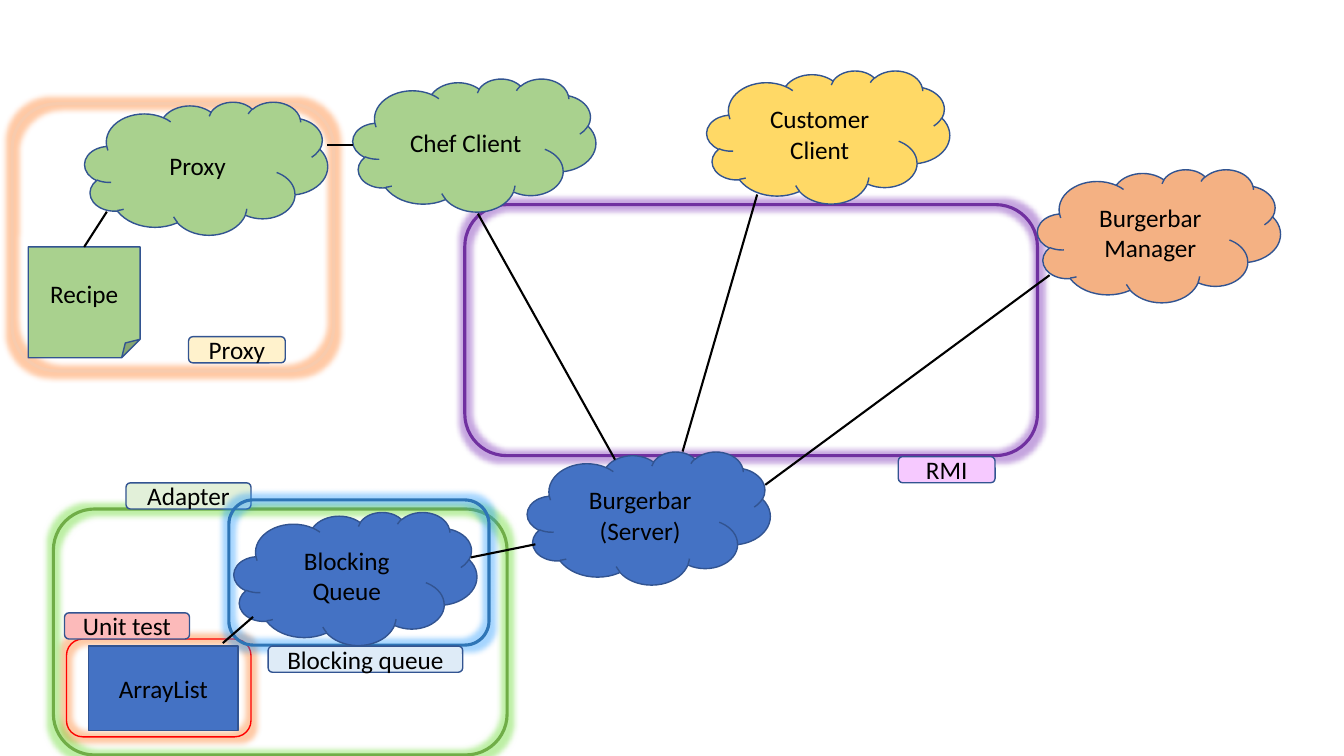
from lxml import etree
from pptx import Presentation
from pptx.dml.color import RGBColor
from pptx.enum.shapes import MSO_CONNECTOR, MSO_SHAPE as SHAPE
from pptx.enum.text import MSO_ANCHOR, PP_ALIGN
from pptx.oxml.ns import qn
from pptx.util import Inches, Pt

BLACK = RGBColor(0x00, 0x00, 0x00)
OUTLINE = RGBColor(0x32, 0x54, 0x91)
RED = RGBColor(0xFF, 0x00, 0x00)
PINK = RGBColor(0xFC, 0xBA, 0xBA)
GREEN = RGBColor(0x70, 0xAD, 0x47)
PALE_GREEN = RGBColor(0xE2, 0xF0, 0xD9)
LEAF = RGBColor(0xA9, 0xD1, 0x8E)
BLUE = RGBColor(0x44, 0x72, 0xC4)
DARK_BLUE = RGBColor(0x2E, 0x75, 0xB6)
PALE_BLUE = RGBColor(0xDE, 0xEB, 0xF7)
PURPLE = RGBColor(0x70, 0x30, 0xA0)
LILAC = RGBColor(0xF6, 0xC9, 0xFF)
PEACH = RGBColor(0xF8, 0xCB, 0xAD)
CREAM = RGBColor(0xFF, 0xF2, 0xCC)
YELLOW = RGBColor(0xFF, 0xD9, 0x66)
ORANGE = RGBColor(0xF4, 0xB1, 0x83)
GLOW_ORANGE = RGBColor(0xFF, 0x7A, 0x20)
GLOW_GREEN = RGBColor(0x5C, 0xD8, 0x20)
GLOW_BLUE = RGBColor(0x20, 0x98, 0xFF)
GLOW_PURPLE = RGBColor(0x70, 0x20, 0xB0)

CLOUD_W, CLOUD_H = 2.41, 1.32
LABEL_H = 0.26


class Diagram:
    """Holds the text style and the slide being drawn."""

    def __init__(self, slide, font="Calibri", size=18):
        self.s, self.font, self.size = slide, font, size

    def add_text(self, sp, text, color=BLACK, align=PP_ALIGN.CENTER):
        tf = sp.text_frame
        tf.word_wrap = True
        tf.vertical_anchor = MSO_ANCHOR.MIDDLE
        p = tf.paragraphs[0]
        p.alignment = align
        r = p.add_run()
        r.text = text
        r.font.name, r.font.size = self.font, Pt(self.size)
        r.font.color.rgb = color

    def shape(self, kind, x, y, w, h, line=OUTLINE, width=1):
        sp = self.s.shapes.add_shape(kind, Inches(x), Inches(y), Inches(w), Inches(h))
        sp.shadow.inherit = False
        sp.line.color.rgb = line
        sp.line.width = Pt(width)
        return sp

    def frame(self, x, y, w, h, line, glow, width=2.25, alpha=40):
        sp = self.shape(SHAPE.ROUNDED_RECTANGLE, x, y, w, h, line, width)
        sp.fill.background()
        effects = sp._element.spPr.find(qn("a:effectLst"))
        halo = etree.SubElement(effects, qn("a:glow"), rad=str(Pt(8)))
        clr = etree.SubElement(halo, qn("a:srgbClr"), val=str(glow))
        etree.SubElement(clr, qn("a:alpha"), val=str(alpha * 1000))

    def node(self, kind, text, x, y, w, h, fill):
        sp = self.shape(kind, x, y, w, h)
        sp.fill.solid()
        sp.fill.fore_color.rgb = fill
        self.add_text(sp, text)
        return sp

    def label(self, text, x, y, w, fill):
        return self.node(SHAPE.ROUNDED_RECTANGLE, text, x, y, w, LABEL_H, fill)

    def cloud(self, text, x, y, fill):
        return self.node(SHAPE.CLOUD, text, x, y, CLOUD_W, CLOUD_H, fill)

    def link(self, x1, y1, x2, y2):
        cx = self.s.shapes.add_connector(
            MSO_CONNECTOR.STRAIGHT, Inches(x1), Inches(y1), Inches(x2), Inches(y2))
        cx.line.color.rgb = BLACK
        cx.line.width = Pt(1.5)
        etree.SubElement(cx._element.spPr, qn("a:effectLst"))
        return cx


def main():
    prs = Presentation()
    prs.slide_width, prs.slide_height = Inches(13.33), Inches(7.5)
    d = Diagram(prs.slides.add_slide(prs.slide_layouts[6]))

    # Pattern frames with their labels
    d.frame(0.66, 6.34, 1.83, 0.97, RED, GLOW_ORANGE, width=1)
    d.label("Unit test", 0.64, 6.08, 1.24, PINK)
    d.frame(0.53, 5.05, 4.5, 2.44, GREEN, GLOW_GREEN)
    d.label("Adapter", 1.25, 4.79, 1.24, PALE_GREEN)
    d.frame(2.27, 4.96, 2.58, 1.44, DARK_BLUE, GLOW_BLUE)
    d.label("Blocking queue", 2.66, 6.41, 1.93, PALE_BLUE)
    d.frame(4.61, 2.03, 5.68, 2.49, PURPLE, GLOW_PURPLE)
    d.label("RMI", 8.91, 4.53, 0.96, LILAC)
    d.frame(0.12, 1.03, 3.19, 2.65, PEACH, GLOW_ORANGE)
    d.label("Proxy", 1.87, 3.34, 0.96, CREAM)

    # Components
    d.cloud("Chef Client", 3.5, 0.78, LEAF)
    d.cloud("Proxy", 0.84, 1.01, LEAF)
    d.cloud("Customer Client", 7.01, 0.7, YELLOW)
    d.cloud("Burgerbar (Server)", 5.23, 4.48, BLUE)
    d.cloud("Blocking Queue", 2.32, 5.08, BLUE)
    d.node(SHAPE.RECTANGLE, "ArrayList", 0.88, 6.41, 1.48, 0.84, BLUE)
    recipe = d.node(SHAPE.FOLDED_CORNER, "Recipe", 0.28, 2.45, 1.11, 1.1, LEAF)
    d.cloud("Burgerbar Manager", 10.29, 1.68, ORANGE)

    # Links between components
    d.link(3.5, 1.44, 3.24, 1.44)
    d.link(1.06, 2.1, 0.84, 2.45).end_connect(recipe, 0)
    for ends in [
        (2.51, 6.12, 2.21, 6.38),
        (5.31, 5.4, 4.67, 5.53),
        (4.74, 2.12, 6.1, 4.56),
        (7.51, 1.93, 6.77, 4.48),
        (10.41, 2.73, 7.59, 4.81),
    ]:
        d.link(*ends)

    prs.save("out.pptx")


if __name__ == "__main__":
    main()
